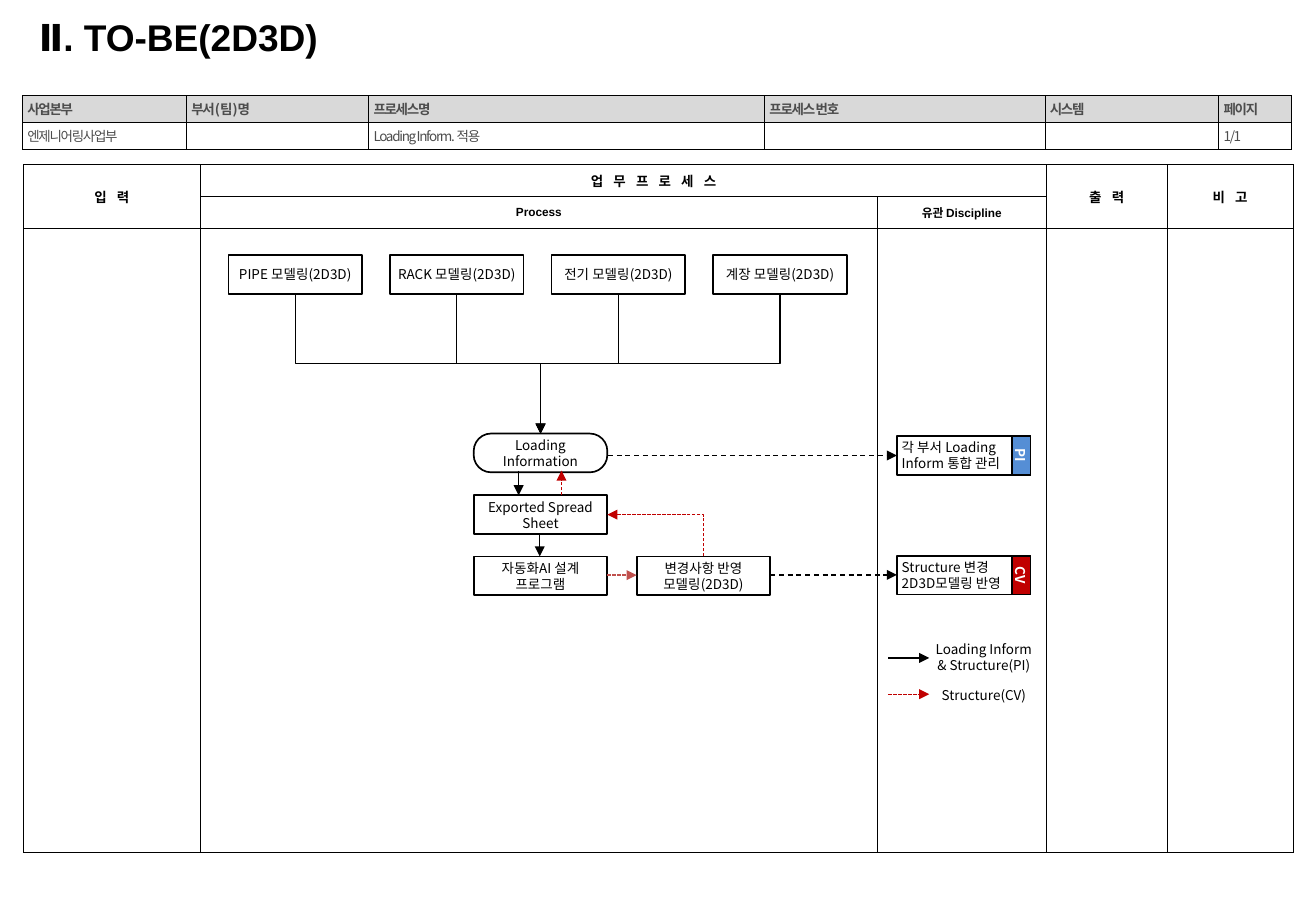
from lxml import etree
from pptx import Presentation
from pptx.dml.color import RGBColor
from pptx.enum import dml, shapes, text
from pptx.oxml import ns
from pptx.util import Pt

NOTO = "Noto Sans CJK KR"
BLACK, WHITE, RED, GREY = "000000", "FFFFFF", "C00000", "D9D9D9"
BOX, PILL = shapes.MSO_SHAPE.RECTANGLE, shapes.MSO_SHAPE.ROUNDED_RECTANGLE
LEFT, MID = text.PP_ALIGN.LEFT, text.PP_ALIGN.CENTER
DASH, DOT = dml.MSO_LINE.DASH, dml.MSO_LINE.SQUARE_DOT


def hue(code):
    return RGBColor.from_string(code)


def write(frame, words, size=8, face=NOTO, tone=BLACK, bold=False, side=MID, track=0, lead=None, dent=0):
    frame.word_wrap = True
    for n, line in enumerate(words.split("\n")):
        para = frame.add_paragraph() if n else frame.paragraphs[0]
        para.alignment = side
        if lead:
            para.line_spacing = Pt(lead)
        if dent:
            para._p.get_or_add_pPr().set("marL", str(Pt(dent)))
        if not line:
            end = etree.SubElement(para._p, ns.qn("a:endParaRPr"))
            end.set("sz", str(size * 100))
            continue
        run = para.add_run()
        run.text = line
        run.font.size, run.font.bold, run.font.name = Pt(size), bold, face
        run.font.color.rgb = hue(tone)
        props = run._r.get_or_add_rPr()
        if track:
            props.set("spc", str(round(track * 100)))
        etree.SubElement(props, ns.qn("a:ea")).set("typeface", NOTO)


deck = Presentation()
deck.slide_width, deck.slide_height = Pt(780), Pt(540)
slide = deck.slides.add_slide(deck.slide_layouts[5])
parts = slide.shapes

title = parts.title
title.left, title.top, title.width, title.height = Pt(15.8), Pt(0), Pt(748), Pt(43.2)
title.text_frame.vertical_anchor = text.MSO_ANCHOR.MIDDLE
write(title.text_frame, "Ⅱ. TO-BE(2D3D)", size=22, face="Arial", bold=True, side=LEFT)

head = dict(face="Arial", bold=True, track=6)
sub = dict(face="Arial", bold=True, size=7)
name = dict(tone="4D4D4D", bold=True, side=LEFT, track=-0.8)
info = dict(name, bold=False)
flow = {
    (0, 0): ("입력", head),
    (0, 1): ("업무프로세스", dict(head, dent=36)),
    (0, 3): ("출력", head),
    (0, 4): ("비고", head),
    (1, 1): ("Process", sub),
    (1, 2): ("유관 Discipline", sub),
}
names = ["사업본부", "부서(팀)명", "프로세스명", "프로세스 번호", "시스템", "페이지"]
facts = {(0, n): (word, name) for n, word in enumerate(names)}
facts.update({
    (1, 0): ("엔제니어링사업부", info),
    (1, 2): ("Loading Inform. 적용", info),
    (1, 5): ("1/1", info),
})
grids = [
    (13.9, 97.5, [104.9, 401.2, 100.2, 71.7, 74.6], [19, 19, 369.8], flow, WHITE, 5.8, 3.6),
    (13.3, 56.6, [97.2, 108, 234.7, 166.2, 103, 43.2], [16, 16], facts, GREY, 2.9, 0),
]
tables = []
for x, y, cols, rows, cells, top, side, edge in grids:
    grid = parts.add_table(len(rows), len(cols), Pt(x), Pt(y), Pt(sum(cols)), Pt(sum(rows))).table
    grid.first_row = grid.horz_banding = False
    tables.append(grid)
    for col, wide in zip(grid.columns, cols):
        col.width = Pt(wide)
    for r, tall in enumerate(rows):
        grid.rows[r].height = Pt(tall)
        for c in range(len(cols)):
            cell = grid.cell(r, c)
            cell.vertical_anchor = text.MSO_ANCHOR.MIDDLE
            cell.margin_left = cell.margin_right = Pt(side)
            cell.margin_top = cell.margin_bottom = Pt(edge)
            props = cell._tc.get_or_add_tcPr()
            for tag in ("a:lnL", "a:lnR", "a:lnT", "a:lnB"):
                rule = etree.SubElement(props, ns.qn(tag), w=str(Pt(0.5)))
                fill = etree.SubElement(rule, ns.qn("a:solidFill"))
                etree.SubElement(fill, ns.qn("a:srgbClr"), val=BLACK)
            cell.fill.solid()
            cell.fill.fore_color.rgb = hue(WHITE if r else top)
            words, form = cells.get((r, c), ("", {}))
            write(cell.text_frame, words, **form)
main = tables[0]
for c in (0, 3, 4):
    main.cell(0, c).merge(main.cell(1, c))
main.cell(0, 1).merge(main.cell(0, 2))

wide, tall = 79.2, 23
mid = 280.8
models = ["PIPE 모델링(2D3D)", "RACK 모델링(2D3D)", "전기 모델링(2D3D)", "계장 모델링(2D3D)"]
blocks = [(BOX, 135.4 + 95.8 * n, 151.2, word, {}) for n, word in enumerate(models)]
blocks += [
    (PILL, mid, 257, "Loading\nInformation", {}),
    (BOX, mid, 293.6, "Exported Spread Sheet", {}),
    (BOX, mid, 329.8, "자동화AI 설계\n프로그램", {}),
    (BOX, 377.4, 329.8, "변경사항 반영\n모델링(2D3D)", {}),
    (BOX, 531.6, 258.5, "각 부서 Loading\nInform 통합 관리", dict(side=LEFT)),
    (BOX, 531.6, 329.4, "Structure 변경\n2D3D모델링 반영", dict(side=LEFT)),
    (None, 543.6, 378, "Loading Inform\n& Structure(PI)", {}),
    (None, 543.6, 400.3, "Structure(CV)", {}),
]
tags = {"PI": (258.5, "558ED5"), "CV": (329.4, RED)}
items = [(kind, x, y, wide, tall, word, WHITE, form) for kind, x, y, word, form in blocks]
items += [
    (BOX, 593.8, y + 6, tall, 11, word, tone, dict(tone=WHITE, bold=True))
    for word, (y, tone) in tags.items()
]
made = []
for kind, x, y, w, h, word, tone, form in items:
    area = Pt(x), Pt(y), Pt(w), Pt(h)
    if kind is None:
        part = parts.add_textbox(*area)
    else:
        part = parts.add_shape(kind, *area)
        part.shadow.inherit = False
        part.fill.solid()
        part.fill.fore_color.rgb = hue(tone)
        part.line.color.rgb = hue(BLACK)
        part.line.width = Pt(1)
    if kind == PILL:
        part.adjustments[0] = 0.45
    if word in tags:
        part.rotation = 90
    frame = part.text_frame
    frame.vertical_anchor = text.MSO_ANCHOR.MIDDLE
    frame.margin_left = frame.margin_right = Pt(2.9)
    frame.margin_top = frame.margin_bottom = Pt(3.6)
    write(frame, word, lead=9.5, **form)
    made.append(part)

load, sheet, change = made[4], made[5], made[7]
links = []
bends = [(part, 2, load, 0, "bentConnector3", BLACK, None) for part in made[:4]]
bends.append((change, 0, sheet, 3, "bentConnector2", RED, DOT))
for start, exit, goal, entry, bend, tone, dash in bends:
    link = parts.add_connector(shapes.MSO_CONNECTOR.ELBOW, 0, 0, 0, 0)
    link.begin_connect(start, exit)
    link.end_connect(goal, entry)
    x = start.left + start.width // 2
    y = start.top + (start.height if exit == 2 else 0)
    far = goal.left + (goal.width if entry == 3 else goal.width // 2)
    low = goal.top + (goal.height // 2 if entry == 3 else 0)
    sign = 1 if low > y else -1
    run, rise = abs(low - y) // 2, sign * (far - x) // 2
    link.begin_x, link.end_x = (x + far) // 2 - run, (x + far) // 2 + run
    link.begin_y, link.end_y = (y + low) // 2 + rise, (y + low) // 2 - rise
    props = link._element.spPr
    props.find(ns.qn("a:xfrm")).set("rot", str(5400000 if sign > 0 else 16200000))
    props.find(ns.qn("a:prstGeom")).set("prst", bend)
    links.append((link, tone, dash))

paths = [
    (360.4, 270, 531.6, 270, BLACK, DASH),
    (456.6, 340.8, 531.6, 340.8, BLACK, DASH),
    (360, 340.9, 377.4, 340.9, "C0504D", DOT),
    (307.4, 279, 307.4, 293.6, BLACK, None),
    (319.9, 316.4, 319.9, 329.8, BLACK, None),
    (332.8, 293.6, 332.8, 279, RED, DOT),
    (526.4, 390, 550.8, 390, BLACK, None),
    (526.4, 411.5, 550.8, 411.5, RED, DOT),
]
for *ends, tone, dash in paths:
    link = parts.add_connector(shapes.MSO_CONNECTOR.STRAIGHT, *[Pt(n) for n in ends])
    links.append((link, tone, dash))
for link, tone, dash in links:
    link.line.width = Pt(0.75)
    link.line.color.rgb = hue(tone)
    if dash:
        link.line.dash_style = dash
    etree.SubElement(link.line._get_or_add_ln(), ns.qn("a:tailEnd"), type="triangle")
    etree.SubElement(link._element.spPr, ns.qn("a:effectLst"))

deck.save("out.pptx")
